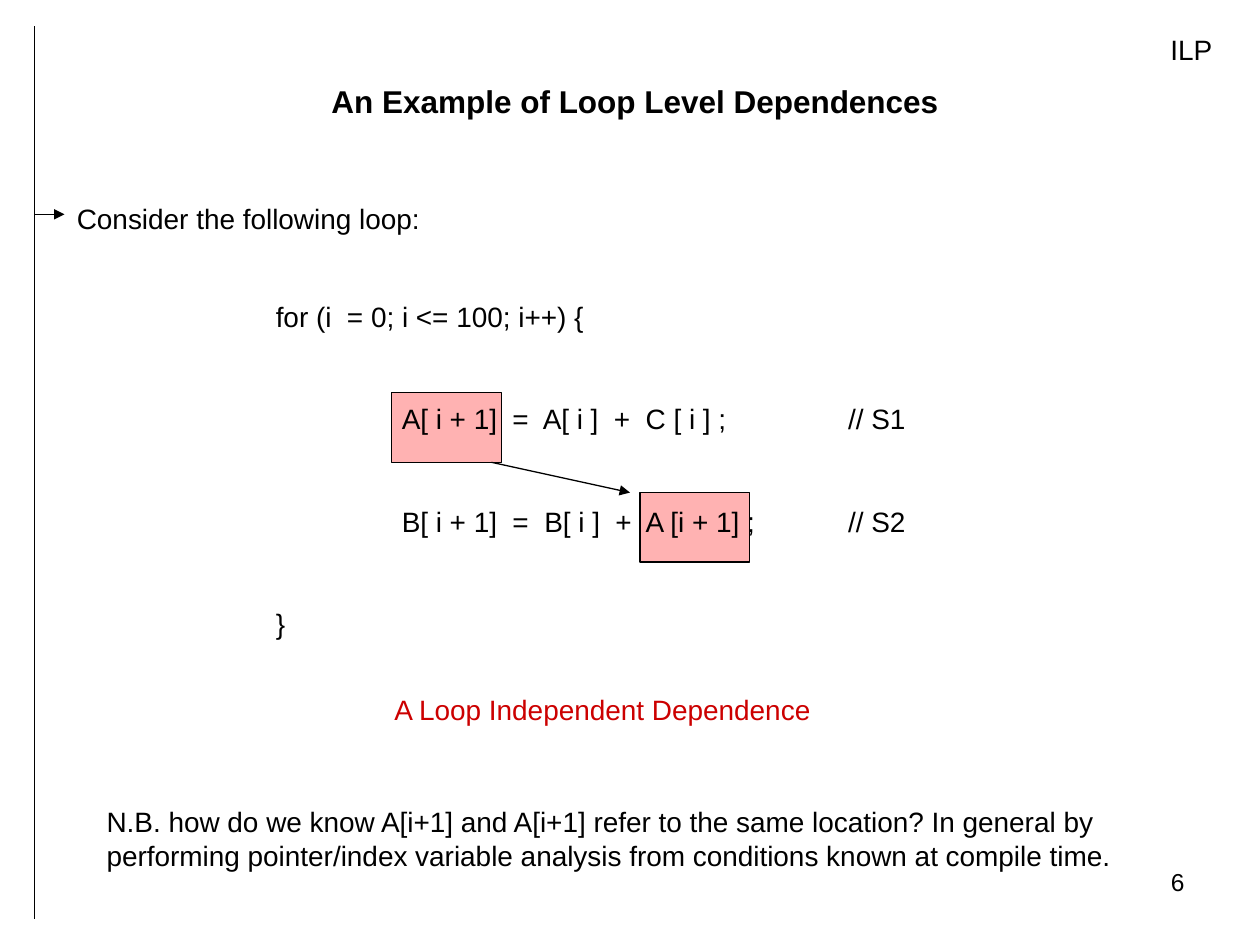
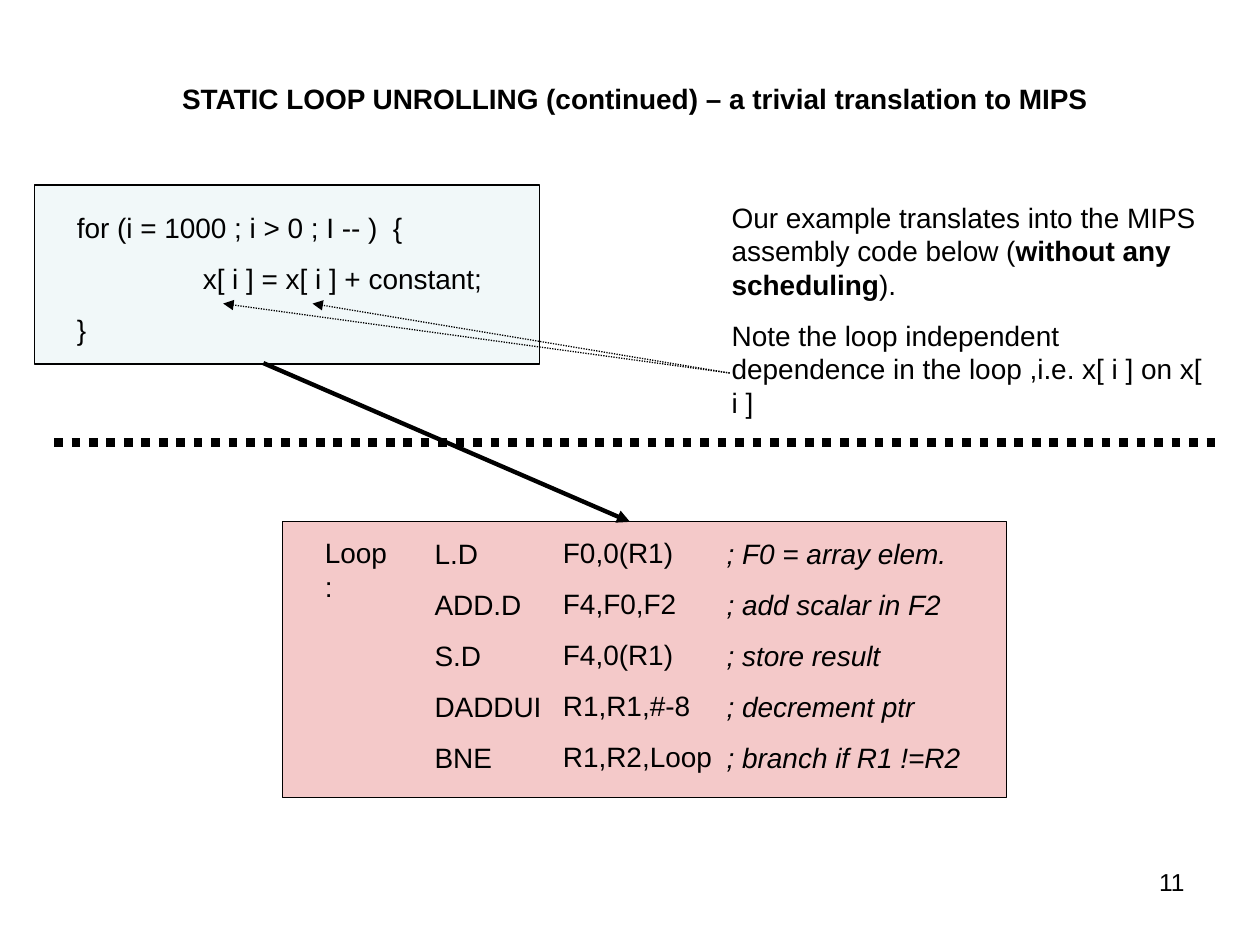
from pptx import Presentation
from pptx import util as u
from pptx.dml.color import RGBColor
from pptx.enum import dml, shapes, text
from pptx.oxml import ns
from lxml import etree

# Shared style
FONT = "Arial"
BLACK, RED, DARK_RED, PALE_BLUE = "000000", "FF0000", "CC0000", "BBE0E3"
BODY_SIZE = 16
THIN = 0.75
TAB = 2.54
LEFT, CENTER, RIGHT = text.PP_ALIGN.LEFT, text.PP_ALIGN.CENTER, text.PP_ALIGN.RIGHT
DOTTED = dml.MSO_LINE.ROUND_DOT


def color(hex_value):
    return RGBColor.from_string(hex_value)


def add_child(parent, tag, **attributes):
    return etree.SubElement(parent, ns.qn(tag), attributes)


def add_text(slide, box, lines, size=BODY_SIZE, align=LEFT, ink=BLACK, bold=False,
             italic=False, gap=10, tabs=(), wrap=True):
    """Each line is a string, or a list of (text, bold) pieces."""
    shape = slide.shapes.add_textbox(*map(u.Cm, box))
    frame = shape.text_frame
    frame.word_wrap = wrap
    for index, line in enumerate(lines):
        paragraph = frame.add_paragraph() if index else frame.paragraphs[0]
        paragraph.alignment = align
        if index:
            paragraph.space_before = u.Pt(gap)
        if tabs:
            stops = add_child(paragraph._p.get_or_add_pPr(), "a:tabLst")
            for stop in tabs:
                add_child(stops, "a:tab", pos=str(u.Cm(stop)), algn="l")
        font = paragraph.font
        font.name, font.size = FONT, u.Pt(size)
        font.bold, font.italic = bold, italic
        font.color.rgb = color(ink)
        for piece, strong in [(line, bold)] if isinstance(line, str) else line:
            run = paragraph.add_run()
            run.text = piece
            if strong != bold:
                run.font.bold = strong


def add_panel(slide, box, fill, opacity):
    shape = slide.shapes.add_shape(shapes.MSO_SHAPE.RECTANGLE, *map(u.Cm, box))
    shape.shadow.inherit = False
    shape.fill.solid()
    shape.fill.fore_color.rgb = color(fill)
    fill_color = shape._element.spPr.find(".//" + ns.qn("a:srgbClr"))
    add_child(fill_color, "a:alpha", val=str(opacity * 1000))
    shape.line.color.rgb = color(BLACK)
    shape.line.width = u.Pt(THIN)


def add_line(slide, start, end, width=THIN, dash=None, arrow=True):
    line = slide.shapes.add_connector(shapes.MSO_CONNECTOR.STRAIGHT,
                                      *map(u.Cm, start + end))
    line.line.color.rgb = color(BLACK)
    line.line.width = u.Pt(width)
    if dash:
        line.line.dash_style = dash
    if arrow:
        add_child(line.line._get_or_add_ln(), "a:tailEnd", type="triangle")
    add_child(line._element.spPr, "a:effectLst")


def add_slide(presentation, title, title_size, number):
    slide = presentation.slides.add_slide(presentation.slide_layouts[6])
    add_text(slide, (18.21, 17.35, 5.92, 1.32), [number], size=14, align=RIGHT)
    add_text(slide, (1.3, 1.52, 23.01, 1), [title], size=title_size, align=CENTER,
             bold=True)
    return slide


def build_dependences(presentation):
    slide = add_slide(presentation, "An Example of Loop Level Dependences", 18, "6")
    add_text(slide, (15.7, 0.53, 8.99, 0.94), ["ILP"], align=RIGHT)

    # Side rule with its branch
    rule_x = 0.69
    add_line(slide, (rule_x, 0.53), (rule_x, 18.52), arrow=False)
    add_line(slide, (rule_x, 4.32), (1.3, 4.32))
    add_text(slide, (1.3, 3.94, 22.61, 0.94), ["Consider the following loop:"])

    # Loop code over the two dependent terms
    for left, top in ((7.9, 7.92), (12.9, 9.93)):
        add_panel(slide, (left, top, 2.21, 1.4), RED, 30)
    add_text(slide, (5.31, 5.92, 15.39, 7.11), [
        "for (i  = 0; i <= 100; i++) {",
        "\tA[ i + 1]  =  A[ i ]  +  C [ i ] ;\t// S1",
        "\tB[ i + 1]  =  B[ i ]  +  A [i + 1] ;\t// S2",
        "}",
    ], gap=39.2, tabs=(TAB, 11.54))
    add_line(slide, (9.91, 9.32), (12.7, 9.93))

    # Remarks
    add_text(slide, (7.7, 13.84, 8.92, 0.94), ["A Loop Independent Dependence"],
             ink=DARK_RED, wrap=False)
    add_text(slide, (1.9, 16.1, 21.79, 1.63), [
        "N.B. how do we know A[i+1] and A[i+1] refer to the same location? In general "
        "by performing pointer/index variable analysis from conditions known at "
        "compile time."])


def build_unrolling(presentation):
    slide = add_slide(
        presentation,
        "STATIC LOOP UNROLLING (continued) – a trivial translation to MIPS",
        BODY_SIZE, "11")

    # Source loop
    add_panel(slide, (0.69, 3.73, 10.19, 3.61), PALE_BLUE, 20)
    add_text(slide, (1.3, 4.11, 11, 3), [
        "for (i = 1000 ; i > 0 ; I -- )  {",
        "\tx[ i ] = x[ i ] + constant;",
        "}",
    ], tabs=(TAB,))

    # Assembly listing
    add_panel(slide, (5.69, 10.52, 14.6, 5.56), DARK_RED, 21)
    add_text(slide, (6.3, 10.67, 2.06, 0.94), ["Loop :"], wrap=False)
    opcodes = ["L.D", "ADD.D", "S.D", "DADDUI", "BNE"]
    operands = ["F0,0(R1)", "F4,F0,F2", "F4,0(R1)", "R1,R1,#-8", "R1,R2,Loop"]
    remarks = ["; F0 = array elem.", "; add scalar in F2", "; store result",
               "; decrement ptr", "; branch if R1 !=R2"]
    for left, top, width, column in ((8.51, 10.69, 2.79, opcodes),
                                     (11.1, 10.67, 5, operands),
                                     (14.4, 10.69, 5.79, remarks)):
        add_text(slide, (left, top, width, 5.05), column, italic=column is remarks)

    # Translation arrow and divider
    add_line(slide, (5.31, 7.32), (12.7, 10.52), width=2.5)
    add_line(slide, (1.09, 8.92), (24.51, 8.92), width=5, dash=DOTTED, arrow=False)

    # Explanation pointing at both array accesses
    add_text(slide, (14.5, 3.91, 10.01, 4.67), [
        [("Our example translates into the MIPS assembly code below (", False),
         ("without any scheduling", True), (").", False)],
        "Note the loop independent dependence in the loop ,i.e. x[ i ] on x[ i ]",
    ])
    for access_x in (6.3, 4.5):
        add_line(slide, (14.71, 7.52), (access_x, 6.12), dash=DOTTED)


def main():
    presentation = Presentation()
    presentation.slide_width = u.Cm(25.4)
    presentation.slide_height = u.Cm(19.05)
    build_dependences(presentation)
    build_unrolling(presentation)
    presentation.save("out.pptx")


if __name__ == "__main__":
    main()
